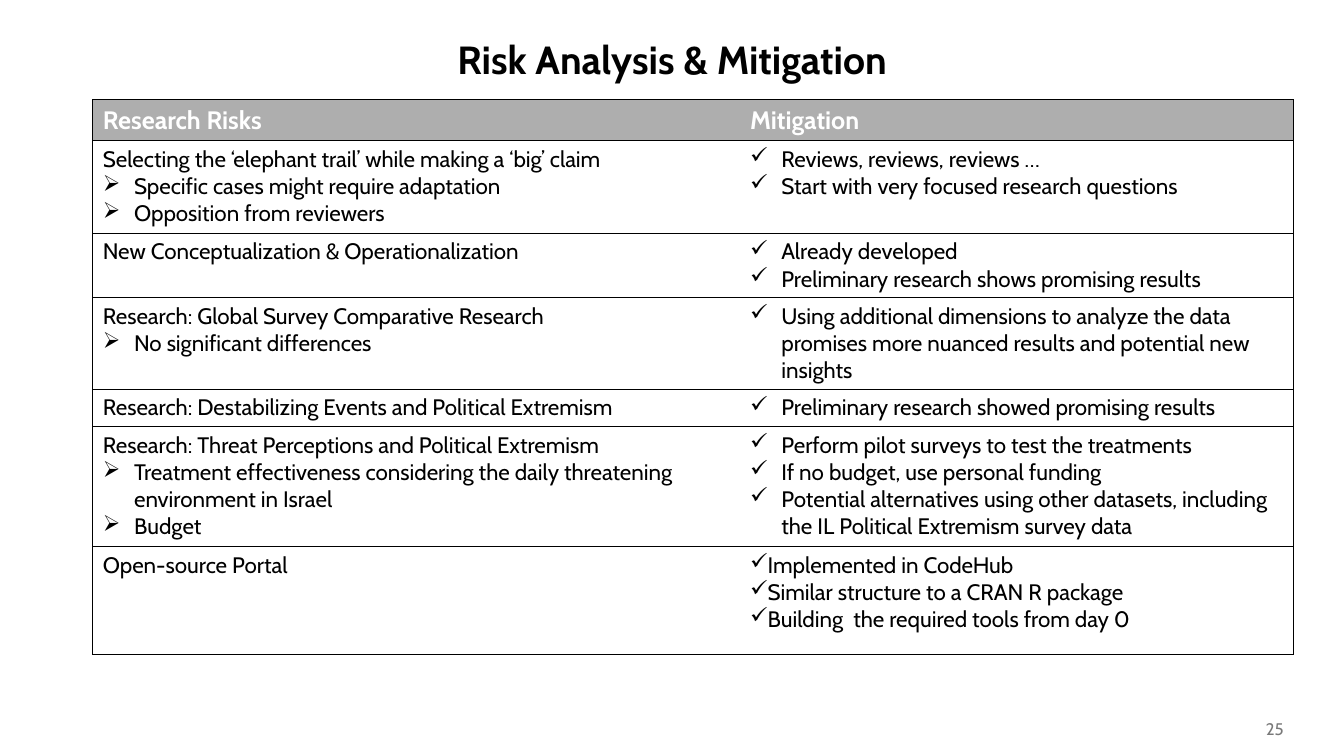
from lxml import etree
from pptx import Presentation
from pptx.dml.color import RGBColor
from pptx.enum.text import MSO_ANCHOR, PP_ALIGN
from pptx.oxml.ns import qn
from pptx.util import Inches, Pt

MIDDLE, TOP = MSO_ANCHOR.MIDDLE, MSO_ANCHOR.TOP
CENTER, RIGHT = PP_ALIGN.CENTER, PP_ALIGN.RIGHT
FONT = "Cabin"
BLACK, WHITE, GRAY, PAGE_GRAY = "000000", "FFFFFF", "AEAEAE", "797979"
ARROW, CHECK = "➢", "✓"
HANG = 0.31

COL_WIDTHS = [6.42, 5.49]
HEADERS = ["Research Risks", "Mitigation"]
# Row height, risk, details of the risk, mitigations
RISKS = [
    (0.92, "Selecting the ‘elephant trail’ while making a ‘big’ claim",
     ["Specific cases might require adaptation", "Opposition from reviewers"],
     ["Reviews, reviews, reviews …", "Start with very focused research questions"]),
    (0.63, "New Conceptualization & Operationalization", [],
     ["Already developed", "Preliminary research shows promising results"]),
    (0.91, "Research: Global Survey Comparative Research",
     ["No significant differences"],
     ["Using additional dimensions to analyze the data promises more nuanced "
      "results and potential new insights"]),
    (0.37, "Research: Destabilizing Events and Political Extremism", [],
     ["Preliminary research showed promising results"]),
    (1.19, "Research: Threat Perceptions and Political Extremism",
     ["Treatment effectiveness considering the daily threatening environment in Israel",
      "Budget"],
     ["Perform pilot surveys to test the treatments",
      "If no budget, use personal funding",
      "Potential alternatives using other datasets, including the IL Political "
      "Extremism survey data"]),
    (1.07, "Open-source Portal", [],
     ["Implemented in CodeHub", "Similar structure to a CRAN R package",
      "Building  the required tools from day 0"]),
]
HEADER_HEIGHT = 0.4


def rgb(color):
    return RGBColor.from_string(color)


def add_run(p, text, size, color=BLACK, bold=False):
    r = p.add_run()
    r.text = text
    r.font.name, r.font.size, r.font.bold = FONT, Pt(size), bold
    r.font.color.rgb = rgb(color)


def set_bullet(p, char, margin):
    pPr = p._p.get_or_add_pPr()
    pPr.set("marL", str(Inches(margin)))
    pPr.set("indent", str(-Inches(HANG)))
    etree.SubElement(pPr, qn("a:buChar"), char=char)


def set_borders(cell, sides):
    """Draw black lines on the given sides (of L, R, T, B) and none on the others."""
    tcPr = cell._tc.get_or_add_tcPr()
    for i, side in enumerate("LRTB"):
        ln = etree.Element(qn(f"a:ln{side}"), w=str(Pt(1)))
        if side in sides:
            fill = etree.SubElement(ln, qn("a:solidFill"))
            etree.SubElement(fill, qn("a:srgbClr"), val=BLACK)
        else:
            etree.SubElement(ln, qn("a:noFill"))
        tcPr.insert(i, ln)


def fill_cell(cell, lines, size=16, color=BLACK, bold=False, fill=WHITE,
              anchor=TOP, margin=HANG):
    """Write lines, given as (bullet or None, text), into a cell."""
    cell.fill.solid()
    cell.fill.fore_color.rgb = rgb(fill)
    cell.vertical_anchor = anchor
    tf = cell.text_frame
    for i, (bullet, text) in enumerate(lines):
        p = tf.add_paragraph() if i else tf.paragraphs[0]
        if bullet:
            set_bullet(p, bullet, margin)
        add_run(p, text, size, color, bold)


def add_title(s, x, y, w, h):
    sp = s.shapes.title
    sp.left, sp.top, sp.width, sp.height = map(Inches, (x, y, w, h))
    tf = sp.text_frame
    tf.vertical_anchor = MIDDLE
    p = tf.paragraphs[0]
    p.alignment, p.line_spacing = CENTER, 0.9
    add_run(p, "Risk Analysis & Mitigation", 28, bold=True)


def add_risk_table(s, x, y):
    heights = [HEADER_HEIGHT] + [risk[0] for risk in RISKS]
    table = s.shapes.add_table(len(heights), len(COL_WIDTHS), Inches(x), Inches(y),
                               Inches(sum(COL_WIDTHS)), Inches(sum(heights))).table
    table.horz_banding = False
    for col, width in zip(table.columns, COL_WIDTHS):
        col.width = Inches(width)
    for row, height in zip(table.rows, heights):
        row.height = Inches(height)
        for cell, sides in zip(row.cells, ("LTB", "RTB")):
            set_borders(cell, sides)

    for col, header in enumerate(HEADERS):
        fill_cell(table.cell(0, col), [(None, header)], 18, WHITE, True, GRAY, MIDDLE)
    for row, (_, risk, details, mitigations) in enumerate(RISKS, 1):
        fill_cell(table.cell(row, 0), [(None, risk)] + [(ARROW, d) for d in details])
        fill_cell(table.cell(row, 1), [(CHECK, m) for m in mitigations],
                  margin=0 if row == len(RISKS) else HANG)


def add_page_number(s, x, y, w, h):
    tf = s.shapes.add_textbox(*map(Inches, (x, y, w, h))).text_frame
    tf.word_wrap = True
    tf.vertical_anchor = MIDDLE
    p = tf.paragraphs[0]
    p.alignment = RIGHT
    add_run(p, "25", 12, PAGE_GRAY)


def main():
    prs = Presentation()
    prs.slide_width, prs.slide_height = Inches(13.33), Inches(7.5)
    s = prs.slides.add_slide(prs.slide_layouts[5])
    add_title(s, 0, 0.4, 13.33, 0.43)
    add_risk_table(s, 0.92, 0.99)
    add_page_number(s, 9.83, 7.1, 3, 0.25)
    prs.save("out.pptx")


if __name__ == "__main__":
    main()
